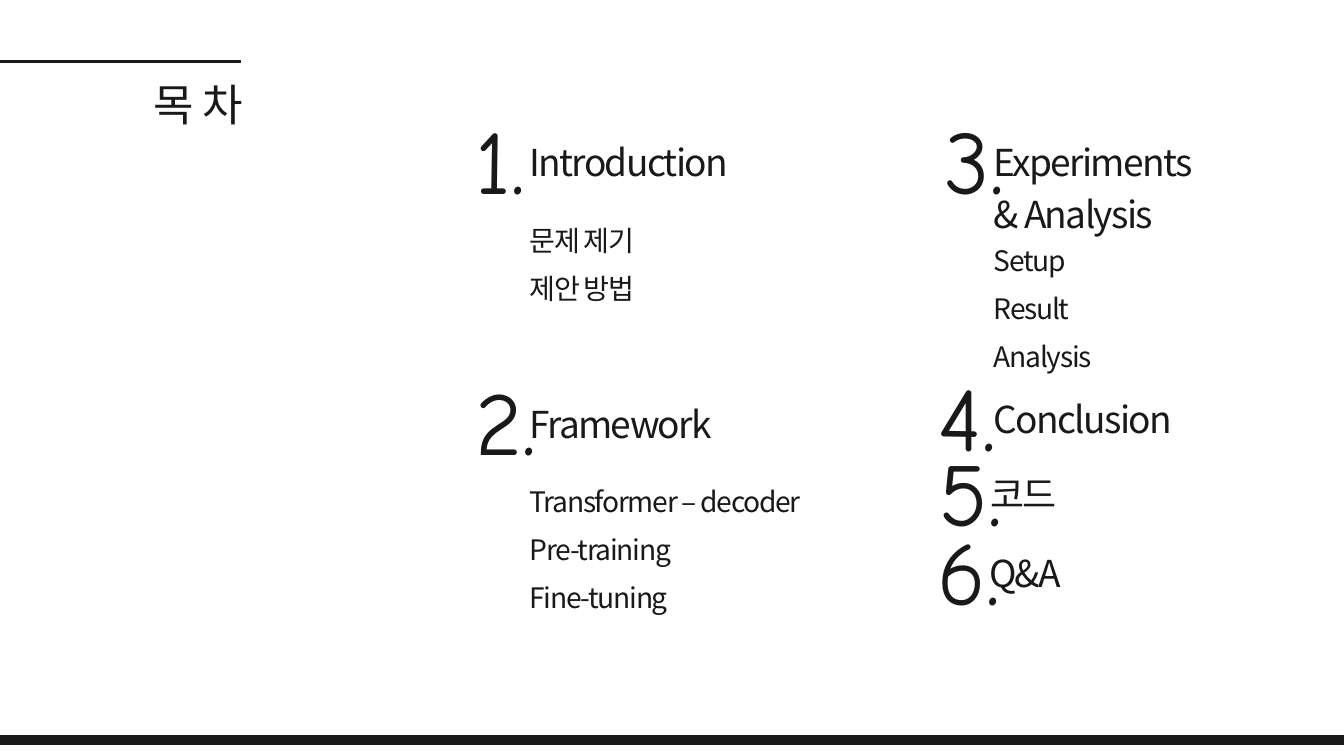
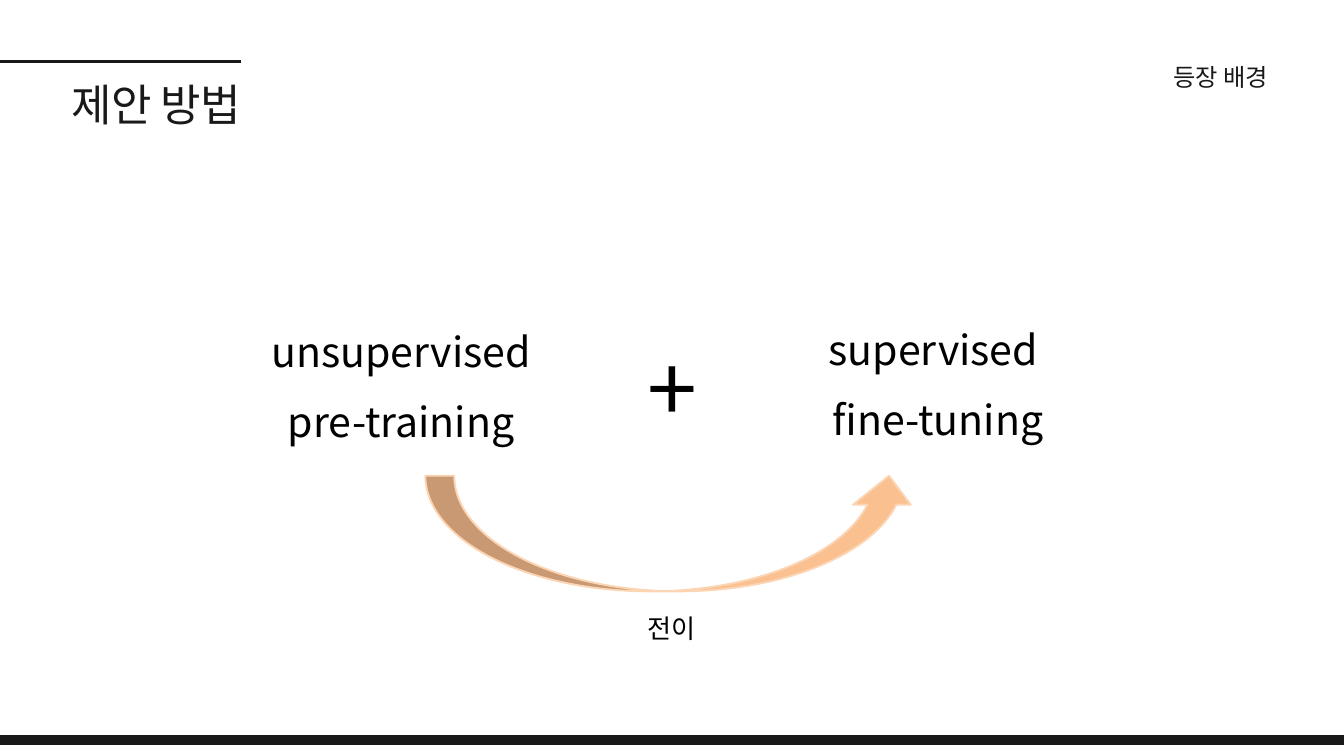
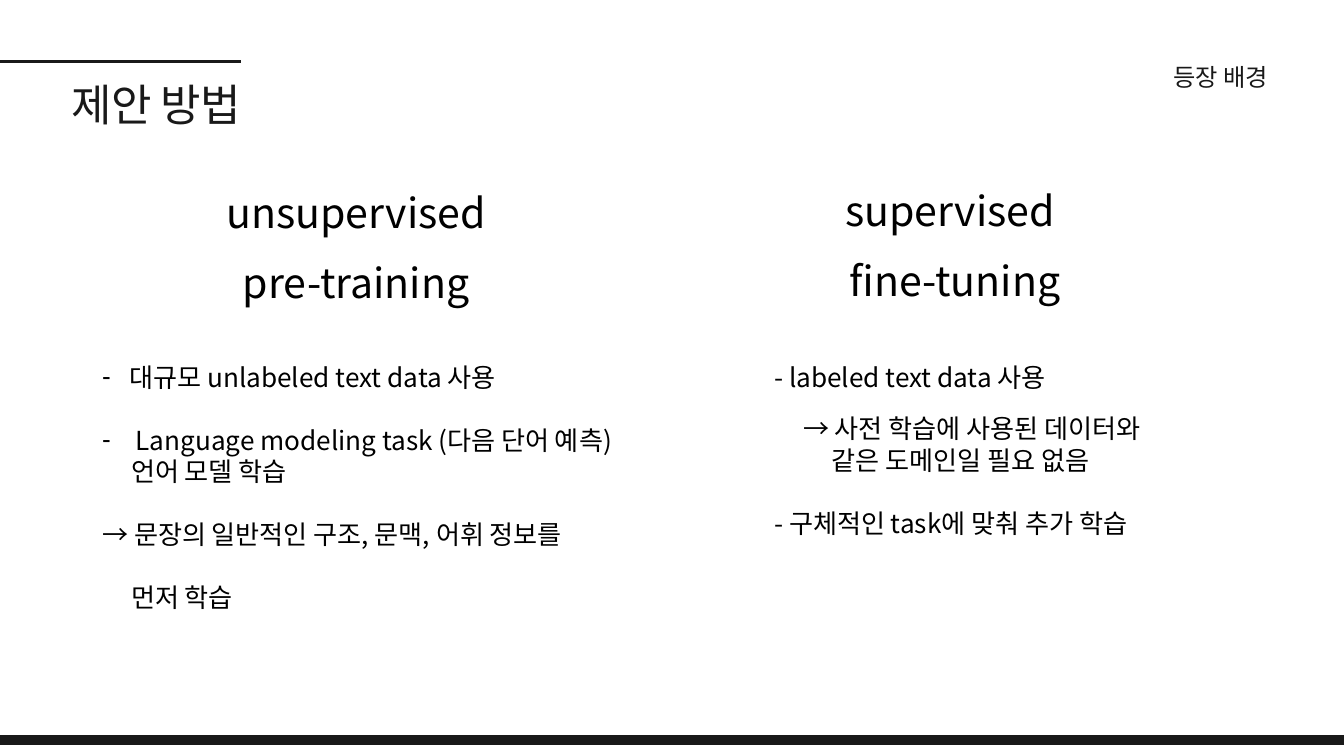
"""Build three slides on unsupervised pre-training and supervised fine-tuning."""
from collections import namedtuple

import pptx
import pptx.dml.color
import pptx.enum.shapes
import pptx.enum.text
import pptx.oxml.ns
import pptx.util
from lxml import etree

Inches, Pt = pptx.util.Inches, pptx.util.Pt
RGB = pptx.dml.color.RGBColor
SHAPE = pptx.enum.shapes.MSO_SHAPE
ALIGN = pptx.enum.text.PP_ALIGN
qn = pptx.oxml.ns.qn

INK = RGB(0x19, 0x19, 0x19)
BLACK = RGB(0x00, 0x00, 0x00)
PEACH = RGB(0xFA, 0xC0, 0x90)
PALE_PEACH = RGB(0xFC, 0xD5, 0xB5)

WIDTH, HEIGHT = 20, 11.25
BLEED = 0.32
RULE_END, RULE_TOP = 3.58, 0.91
TITLE_LEFT, TITLE_TOP = 0.73, 1.02
COMPARISON_LAYOUT = 4
SANS, HAND = "Noto Sans CJK KR", "Comic Neue"

Style = namedtuple("Style", "size color font tracking leading align inset",
                   defaults=(SANS, 0, None, ALIGN.LEFT, 0))
TITLE = Style(47.1, INK, tracking=-0.7, leading=65.9, align=ALIGN.RIGHT)
TOPIC = Style(26, INK, leading=36.4, align=ALIGN.RIGHT)
NUMBER = Style(96.3, INK, font=HAND, leading=134.8)
SECTION = Style(39.7, INK, tracking=-1.8, leading=55.6)
DETAIL = Style(30.2, INK, tracking=-1.4, leading=51.4)
STAGE = Style(44, BLACK, align=ALIGN.CENTER, inset=1)
PLUS = STAGE._replace(size=96)
CAPTION = STAGE._replace(size=28)
POINT = CAPTION._replace(align=ALIGN.LEFT)

Line = namedtuple("Line", "text before indent hang bullet", defaults=(0, 0, 0, None))
SMALL_GAP, GAP = 22, 34
TAB = 0.43

LEFT_COLUMN, RIGHT_COLUMN = 7.88, 14.79
NUMBER_RISE = 0.68
SECTIONS = [
    ("1.", "Introduction", LEFT_COLUMN, 1.97, 0.8, 3.11, ["문제 제기", "제안 방법"]),
    ("2.", "Framework", LEFT_COLUMN, 5.86, 0.8, 6.99,
     ["Transformer – decoder", "Pre-training", "Fine-tuning"]),
    ("3.", "Experiments & Analysis", RIGHT_COLUMN, 1.97, 0.73, 3.41,
     ["Setup", "Result", "Analysis"]),
    ("4.", "Conclusion", RIGHT_COLUMN, 5.79, 0.82, None, []),
    ("5.", "코드", 14.74, 6.91, 0.76, None, []),
    ("6.", "Q&A", 14.72, 8.08, 0.77, None, []),
]

STAGES = [
    [Line("unsupervised "), Line("pre-training ", SMALL_GAP)],
    [Line("supervised "), Line("fine-tuning", SMALL_GAP)],
]
STAGE_WIDTH, STAGE_HEIGHT, STAGE_STEP = 5.08, 1.9, 0.03
POINTS = [
    [
        Line("대규모 unlabeled text data 사용", indent=0.41, hang=0.41, bullet="-"),
        Line("Language modeling task (다음 단어 예측)", GAP, 0.5, 0.5, "-"),
        Line("언어 모델 학습", indent=TAB),
        Line("→ 문장의 일반적인 구조, 문맥, 어휘 정보를", GAP),
        Line("먼저 학습", GAP, TAB),
    ],
    [
        Line("- labeled text data 사용"),
        Line("→ 사전 학습에 사용된 데이터와", SMALL_GAP, TAB),
        Line("같은 도메인일 필요 없음", indent=2 * TAB),
        Line("- 구체적인 task에 맞춰 추가 학습", GAP),
    ],
]


def write(box, place, lines, style):
    """Move a text holder to its place and fill it with styled lines."""
    box.left, box.top, box.width, box.height = map(Inches, place)
    frame = box.text_frame
    frame.word_wrap = True
    frame.auto_size = pptx.enum.text.MSO_AUTO_SIZE.SHAPE_TO_FIT_TEXT
    frame.vertical_anchor = pptx.enum.text.MSO_ANCHOR.TOP
    frame.margin_left = frame.margin_right = Inches(0.1 * style.inset)
    frame.margin_top = frame.margin_bottom = Inches(0.05 * style.inset)
    for index, line in enumerate(lines):
        paragraph = frame.add_paragraph() if index else frame.paragraphs[0]
        properties = paragraph._p.get_or_add_pPr()
        properties.set("marL", str(Inches(line.indent)))
        properties.set("indent", str(-Inches(line.hang)))
        if line.bullet:
            etree.SubElement(properties, qn("a:buChar"), char=line.bullet)
        else:
            etree.SubElement(properties, qn("a:buNone"))
        paragraph.alignment = style.align
        paragraph.space_before = Pt(line.before)
        if style.leading:
            paragraph.line_spacing = Pt(style.leading)
        run = paragraph.add_run()
        run.text = line.text
        run.font.size = Pt(style.size)
        run.font.bold = False
        run.font.color.rgb = style.color
        run.font.name = style.font
        letters = run._r.get_or_add_rPr()
        letters.set("spc", str(round(style.tracking * 100)))
        etree.SubElement(letters, qn("a:ea"), typeface=style.font)


def label(slide, place, text, style):
    write(slide.shapes.add_textbox(0, 0, 0, 0), place, [Line(text)], style)


def add_preset(slide, kind, place, fill, outline, weight):
    shape = slide.shapes.add_shape(kind, *map(Inches, place))
    shape.shadow.inherit = False
    shape.fill.solid()
    shape.fill.fore_color.rgb = fill
    shape.line.color.rgb = outline
    shape.line.width = Pt(weight)
    return shape


def start_slide(deck, title, title_end=RULE_END, topic=None):
    """Add a slide with its band, rule and title; return it and its free bodies."""
    slide = deck.slides.add_slide(deck.slide_layouts[COMPARISON_LAYOUT])
    bodies = [holder for holder in slide.placeholders if holder.placeholder_format.idx]
    add_preset(slide, SHAPE.RECTANGLE, (-BLEED, 10.95, WIDTH + 2 * BLEED, 0.13),
               INK, INK, 1.5)
    rule = slide.shapes.add_connector(
        pptx.enum.shapes.MSO_CONNECTOR.STRAIGHT,
        0, Inches(RULE_TOP), Inches(RULE_END), Inches(RULE_TOP))
    rule.line.color.rgb = INK
    rule.line.width = Pt(3)
    etree.SubElement(rule._element.spPr, qn("a:effectLst"))
    write(slide.shapes.title, (TITLE_LEFT, TITLE_TOP, title_end - TITLE_LEFT, 0.85),
          [Line(title)], TITLE)
    if topic:
        label(slide, (14.63, 0.85, 4.24, 0.46), topic, TOPIC)
    return slide, bodies


def drop(holders):
    for holder in holders:
        holder._element.getparent().remove(holder._element)


def write_stages(bodies, lefts, top):
    for index, (body, left, stage) in enumerate(zip(bodies, lefts, STAGES)):
        write(body, (left, top - index * STAGE_STEP, STAGE_WIDTH, STAGE_HEIGHT),
              stage, STAGE)


def add_contents(deck):
    slide, bodies = start_slide(deck, "목 차", title_end=3.62)
    for number, name, left, top, shift, details_top, details in SECTIONS:
        label(slide, (left, top, 3.34, 0.74), name, SECTION)
        label(slide, (left - shift, top - NUMBER_RISE, 0.97, 1.8), number, NUMBER)
        if details:
            write(bodies.pop(0), (left, details_top, 4.2, 0.72 * len(details) - 0.09),
                  [Line(detail) for detail in details], DETAIL)
    drop(bodies)


def add_transfer(deck):
    slide, bodies = start_slide(deck, "제안 방법", topic="등장 배경")
    write_stages(bodies[:2], (3.5, 11.42), 4.81)
    drop(bodies[2:])
    label(slide, (8.79, 4.9, 2.42, 1.72), "+", PLUS)
    arrow = add_preset(slide, SHAPE.CURVED_DOWN_ARROW, (6.33, 7.08, 7.33, 1.72),
                       PEACH, PALE_PEACH, 2)
    arrow._element.spPr.find(qn("a:xfrm")).set("flipV", "1")
    label(slide, (7.46, 9.07, STAGE_WIDTH, 0.57), "전이", CAPTION)


def add_comparison(deck):
    slide, bodies = start_slide(deck, "제안 방법", topic="등장 배경")
    write_stages(bodies[::2], (2.83, 11.67), 2.74)
    for body, left, points in zip(bodies[1::2], (1.42, 11.42), POINTS):
        write(body, (left, 5.32, 7.89, 3.4), points, POINT)


def main():
    deck = pptx.Presentation()
    deck.slide_width, deck.slide_height = Inches(WIDTH), Inches(HEIGHT)
    add_contents(deck)
    add_transfer(deck)
    add_comparison(deck)
    deck.save("out.pptx")


if __name__ == "__main__":
    main()
